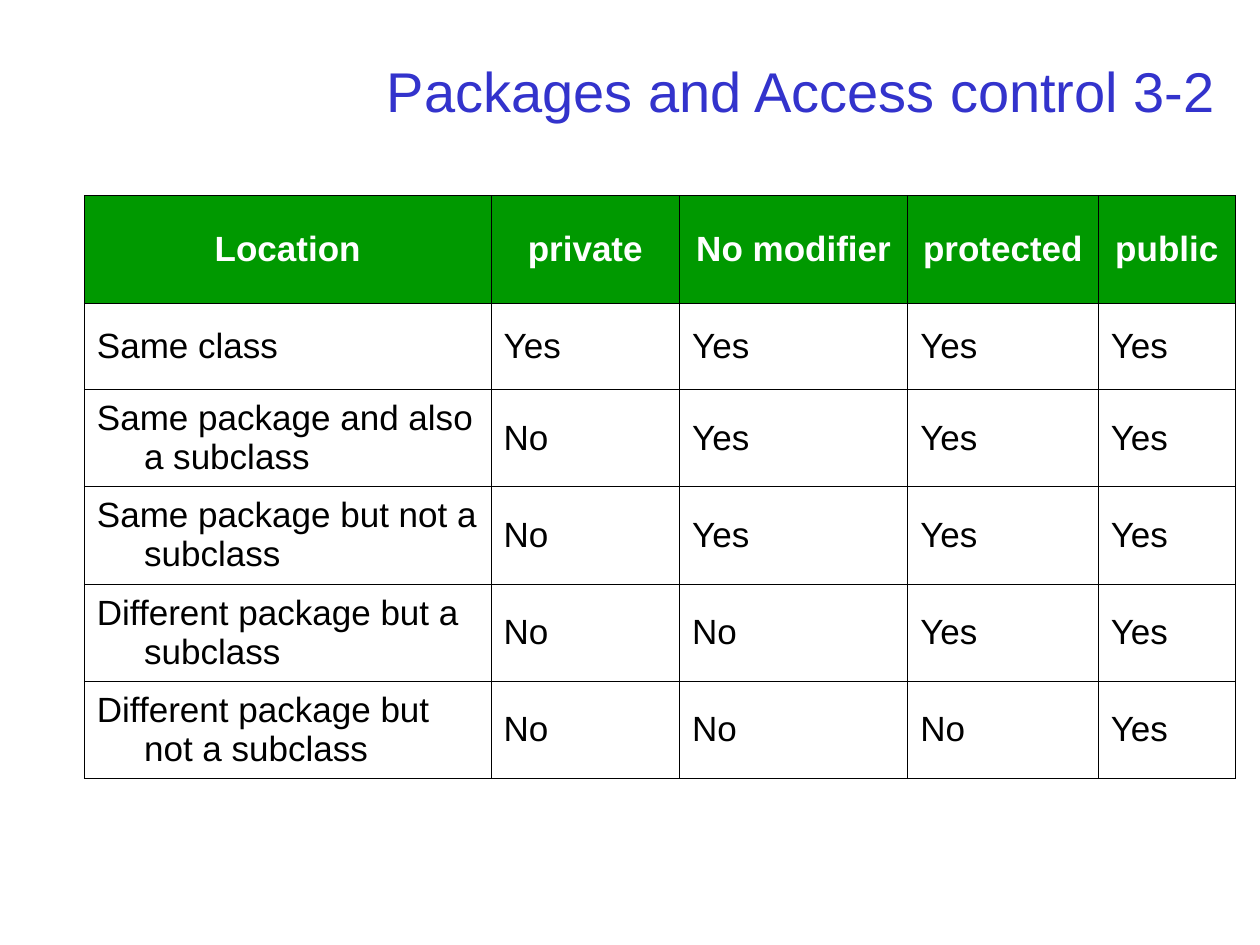
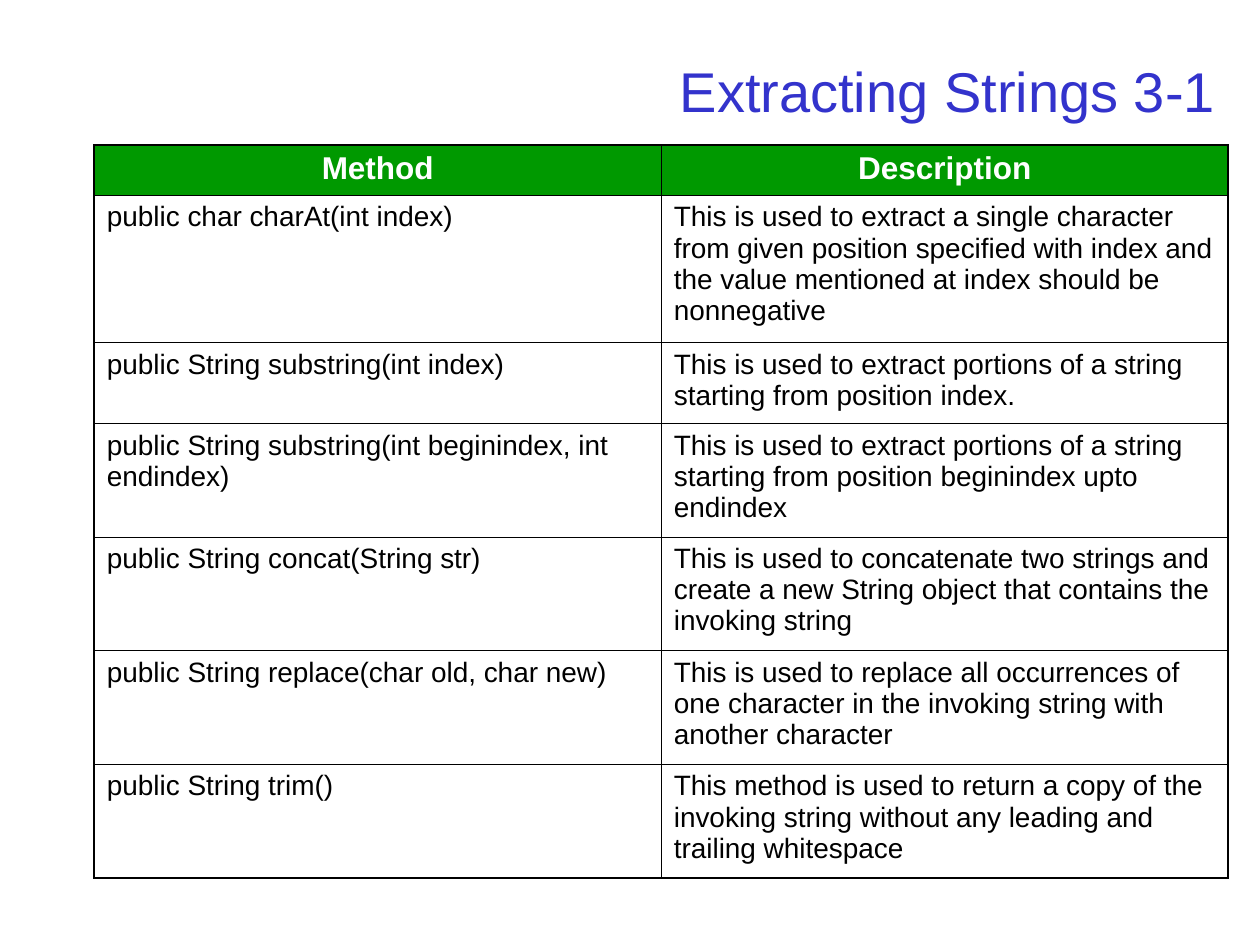
from pptx import Presentation
from pptx.dml.color import RGBColor
from pptx.enum.text import MSO_ANCHOR, PP_ALIGN
from pptx.oxml import parse_xml
from pptx.oxml.ns import nsdecls
from pptx.util import Cm, Pt

LEFT, CENTER, RIGHT = PP_ALIGN.LEFT, PP_ALIGN.CENTER, PP_ALIGN.RIGHT
TOP, MIDDLE = MSO_ANCHOR.TOP, MSO_ANCHOR.MIDDLE

FONT = "Arial"
BLUE, GREEN, WHITE, BLACK = "3333CC", "009900", "FFFFFF", "000000"
THIN = 0.45
TITLE_BOX = (1.9, 0.71, 22.86, 2.21)

SLIDES = [
    {
        "title": "Packages and Access control 3-2",
        "at": (1.7, 3.94),
        "cols": [8.2, 3.8, 4.6, 3.84, 2.77],
        "heights": [2.18, 1.73] + [1.96] * 4,
        "sizes": (20, 20),
        "anchor": MIDDLE,
        "hanging": 0.95,
        "frame": THIN,
        "rows": [
            ("Location", "private", "No modifier", "protected", "public"),
            ("Same class", "Yes", "Yes", "Yes", "Yes"),
            ("Same package and also a subclass", "No", "Yes", "Yes", "Yes"),
            ("Same package but not a subclass", "No", "Yes", "Yes", "Yes"),
            ("Different package but a subclass", "No", "No", "Yes", "Yes"),
            ("Different package but not a subclass", "No", "No", "No", "Yes"),
        ],
    },
    {
        "title": "Extracting Strings 3-1",
        "at": (1.9, 2.92),
        "cols": [11.43, 11.43],
        "heights": [1.02, 2.97, 1.63] + [2.29] * 4,
        "sizes": (18, 16),
        "anchor": TOP,
        "hanging": 0,
        "frame": 1.08,
        "rows": [
            ("Method", "Description"),
            ("public char charAt(int index)",
             "This is used to extract a single character from given position "
             "specified with index and the value mentioned at index should be "
             "nonnegative"),
            ("public String substring(int index)",
             "This is used to extract portions of a string starting from "
             "position index."),
            ("public String substring(int beginindex, int endindex)",
             "This is used to extract portions of a string starting from "
             "position beginindex upto endindex"),
            ("public String concat(String str)",
             "This is used to concatenate two strings and create a new String "
             "object that contains the invoking string"),
            ("public String replace(char old, char new)",
             "This is used to replace all occurrences of one character in the "
             "invoking string with another character"),
            ("public String trim()",
             "This method is used to return a copy of the invoking string "
             "without any leading and trailing whitespace"),
        ],
    },
]


def rgb(value):
    return RGBColor.from_string(value)


def format_paragraph(p, size, color, align, bold=False):
    p.alignment = align
    for r in p.runs:
        r.font.name = FONT
        r.font.size = Pt(size)
        r.font.bold = bold
        r.font.color.rgb = rgb(color)


def add_title(s, text):
    tf = s.shapes.add_textbox(*map(Cm, TITLE_BOX)).text_frame
    tf.word_wrap = True
    tf.vertical_anchor = MIDDLE
    tf.text = text
    format_paragraph(tf.paragraphs[0], 32, BLUE, RIGHT)


def set_borders(cell, widths):
    """Draw the cell's borders; widths are points for left, right, top, bottom."""
    tcPr = cell._tc.get_or_add_tcPr()
    for i, (side, width) in enumerate(zip("LRTB", widths)):
        tcPr.insert(i, parse_xml(
            f'<a:ln{side} {nsdecls("a")} w="{Pt(width)}"><a:solidFill>'
            f'<a:srgbClr val="{BLACK}"/></a:solidFill></a:ln{side}>'))


def fill_cell(cell, text, is_header, spec):
    cell.vertical_anchor = spec["anchor"]
    cell.text_frame.text = text
    p = cell.text_frame.paragraphs[0]
    if spec["hanging"]:
        pPr = p._p.get_or_add_pPr()
        pPr.set("marL", str(Cm(spec["hanging"])))
        pPr.set("indent", str(-Cm(spec["hanging"])))
    header_size, body_size = spec["sizes"]
    if is_header:
        cell.fill.solid()
        cell.fill.fore_color.rgb = rgb(GREEN)
        format_paragraph(p, header_size, WHITE, CENTER, bold=True)
    else:
        cell.fill.background()
        format_paragraph(p, body_size, BLACK, LEFT)


def add_grid(s, spec):
    rows, cols, heights = spec["rows"], spec["cols"], spec["heights"]
    size = (sum(cols), sum(heights))
    table = s.shapes.add_table(len(rows), len(cols),
                               *map(Cm, spec["at"] + size)).table
    table.first_row = table.horz_banding = False
    for column, width in zip(table.columns, cols):
        column.width = Cm(width)
    for row, height in zip(table.rows, heights):
        row.height = Cm(height)
    for i, texts in enumerate(rows):
        for j, text in enumerate(texts):
            cell = table.cell(i, j)
            fill_cell(cell, text, i == 0, spec)
            on_edge = (j == 0, j == len(cols) - 1, i == 0, i == len(rows) - 1)
            set_borders(cell, [spec["frame"] if e else THIN for e in on_edge])


def main():
    prs = Presentation()
    prs.slide_width, prs.slide_height = Cm(25.4), Cm(19.05)
    for spec in SLIDES:
        s = prs.slides.add_slide(prs.slide_layouts[6])
        add_title(s, spec["title"])
        add_grid(s, spec)
    prs.save("out.pptx")


if __name__ == "__main__":
    main()
